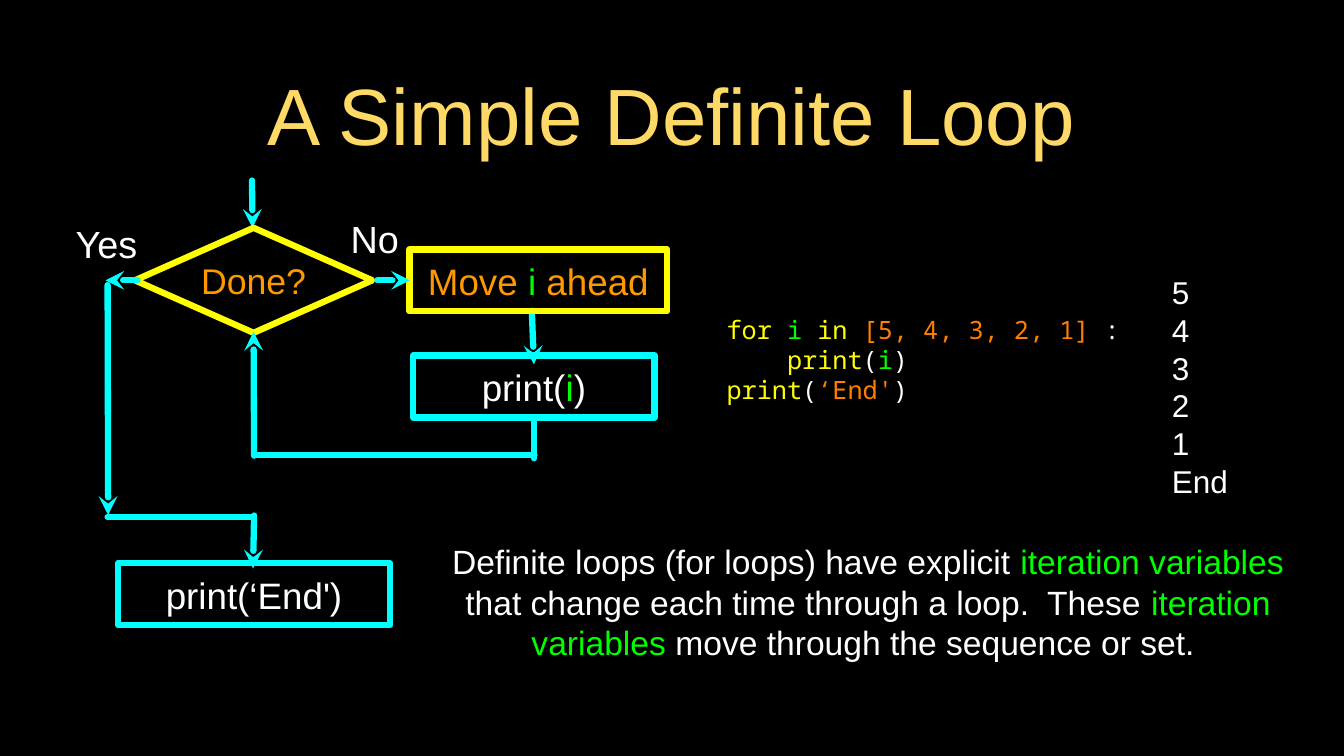
from lxml import etree
from pptx import Presentation
from pptx.dml.color import RGBColor as Rgb
from pptx.enum.shapes import MSO_CONNECTOR as Connector, MSO_SHAPE as Preset
from pptx.enum.text import MSO_ANCHOR as Anchor, PP_ALIGN as Align
from pptx.oxml.ns import qn
from pptx.util import Pt

COLORS = {
    "black": "000000", "white": "FFFFFF", "gold": "FFD966", "yellow": "FFFF00",
    "cyan": "00FFFF", "green": "00FF00", "orange": "FF9900", "literal": "FF7F00",
}


def color(name):
    """Return the named colour."""
    return Rgb.from_string(COLORS[name])


def write(shape, lines, size, font="Arial", align=Align.CENTER, spacing=1.0):
    """Fill a shape with lines, each a list of (text, colour name) runs."""
    frame = shape.text_frame
    frame.word_wrap = True
    frame.vertical_anchor = Anchor.MIDDLE
    frame.margin_left = frame.margin_right = frame.margin_top = frame.margin_bottom = 0
    for index, runs in enumerate(lines):
        paragraph = frame.add_paragraph() if index else frame.paragraphs[0]
        paragraph.alignment = align
        paragraph.line_spacing = spacing
        paragraph.font.size = Pt(size)
        paragraph.font.name = font
        for text, name in runs:
            run = paragraph.add_run()
            run.text = text
            run.font.color.rgb = color(name)


def add_text(slide, box, lines, size, **style):
    """Add a text box at (left, top, width, height)."""
    write(slide.shapes.add_textbox(*map(Pt, box)), lines, size, **style)


def add_step(slide, preset, box, outline, runs, size=35):
    """Add an outlined flowchart step with centred text."""
    shape = slide.shapes.add_shape(preset, *map(Pt, box))
    shape.shadow.inherit = False
    shape.fill.background()
    shape.line.color.rgb = color(outline)
    shape.line.width = Pt(6)
    write(shape, [runs], size)


def add_flow(slide, start, end, arrow=True):
    """Add a cyan flow line, with an arrowhead at its end if asked."""
    line = slide.shapes.add_connector(Connector.STRAIGHT, *map(Pt, start + end))
    line.line.color.rgb = color("cyan")
    line.line.width = Pt(6)
    outline = line.line._get_or_add_ln()
    outline.set("cap", "rnd")
    etree.SubElement(outline, qn("a:round"))
    if arrow:
        etree.SubElement(outline, qn("a:tailEnd"), type="stealth")
    etree.SubElement(line._element.spPr, qn("a:effectLst"))


def add_flowchart(slide, left, top):
    """Draw the loop flowchart from its top left corner."""
    def at(x, y):
        return left + x, top + y

    add_flow(slide, at(185, 0), at(185.5, 45))
    add_step(slide, Preset.DIAMOND, at(73.5, 45) + (226, 100), "yellow",
             [("Done?", "orange")], 34)
    add_flow(slide, at(187, 262), at(186.5, 144))
    add_flow(slide, at(451.5, 124), at(453.5, 175))
    add_flow(slide, at(453.5, 225.5), at(453.5, 264.5), arrow=False)
    add_flow(slide, at(187, 261.5), at(454, 261.5), arrow=False)
    add_flow(slide, at(76, 95), at(45.5, 95))
    add_flow(slide, at(187, 319), at(186, 369.5))
    add_flow(slide, at(47.5, 99.5), at(48, 318.5))
    add_flow(slide, at(47.5, 320.5), at(186, 320.5), arrow=False)
    add_text(slide, at(0, 35.5) + (93, 49), [[("Yes", "white")]], 36)
    add_step(slide, Preset.RECTANGLE, at(57.5, 364.5) + (259, 59), "cyan",
             [("print(‘End')", "white")])
    add_step(slide, Preset.RECTANGLE, at(338.5, 166.5) + (230, 59), "cyan",
             [("print(", "white"), ("i", "green"), (")", "white")])
    add_text(slide, at(273.5, 30.5) + (57, 49), [[("No", "white")]], 36)
    add_step(slide, Preset.RECTANGLE, at(335, 65.5) + (245.5, 59), "yellow",
             [("Move ", "orange"), ("i", "green"), (" ahead", "orange")])
    add_flow(slide, at(304.5, 95), at(335.5, 95))


def add_code(slide, box):
    """Show the loop's source code."""
    add_text(slide, box, [
        [("for ", "yellow"), ("i ", "green"), ("in ", "yellow"),
         ("[5, 4, 3, 2, 1] ", "literal"), (":", "white")],
        [("    print", "yellow"), ("(", "white"), ("i", "green"), (")", "white")],
        [("print", "yellow"), ("(", "white"), ("‘End'", "literal"), (")", "white")],
    ], 24, font="Noto Sans Mono", align=Align.LEFT)


def add_output(slide, box):
    """Show the lines that the loop prints."""
    lines = [[(text, "white")] for text in ("5", "4", "3", "2", "1", "End")]
    add_text(slide, box, lines, 30, align=Align.LEFT)


def add_explanation(slide, box):
    """Explain iteration variables."""
    add_text(slide, box, [[
        ("Definite loops (for loops) have explicit ", "white"),
        ("iteration variables ", "green"),
        ("that change each time through a loop.  These ", "white"),
        ("iteration variables", "green"),
        (" move through the sequence or set. ", "white"),
    ]], 32)


def build():
    """Build and save the slide."""
    presentation = Presentation()
    presentation.slide_width, presentation.slide_height = Pt(1280), Pt(720)
    slide = presentation.slides.add_slide(presentation.slide_layouts[6])
    slide.background.fill.solid()
    slide.background.fill.fore_color.rgb = color("black")
    add_text(slide, (91, 64, 1097, 89), [[("A Simple Definite Loop", "gold")]], 76)
    add_code(slide, (692, 277, 402, 131))
    add_output(slide, (1116, 241, 131, 254))
    add_flowchart(slide, 55, 172)
    add_explanation(slide, (428, 507.5, 797.5, 131))
    presentation.save("out.pptx")


build()
